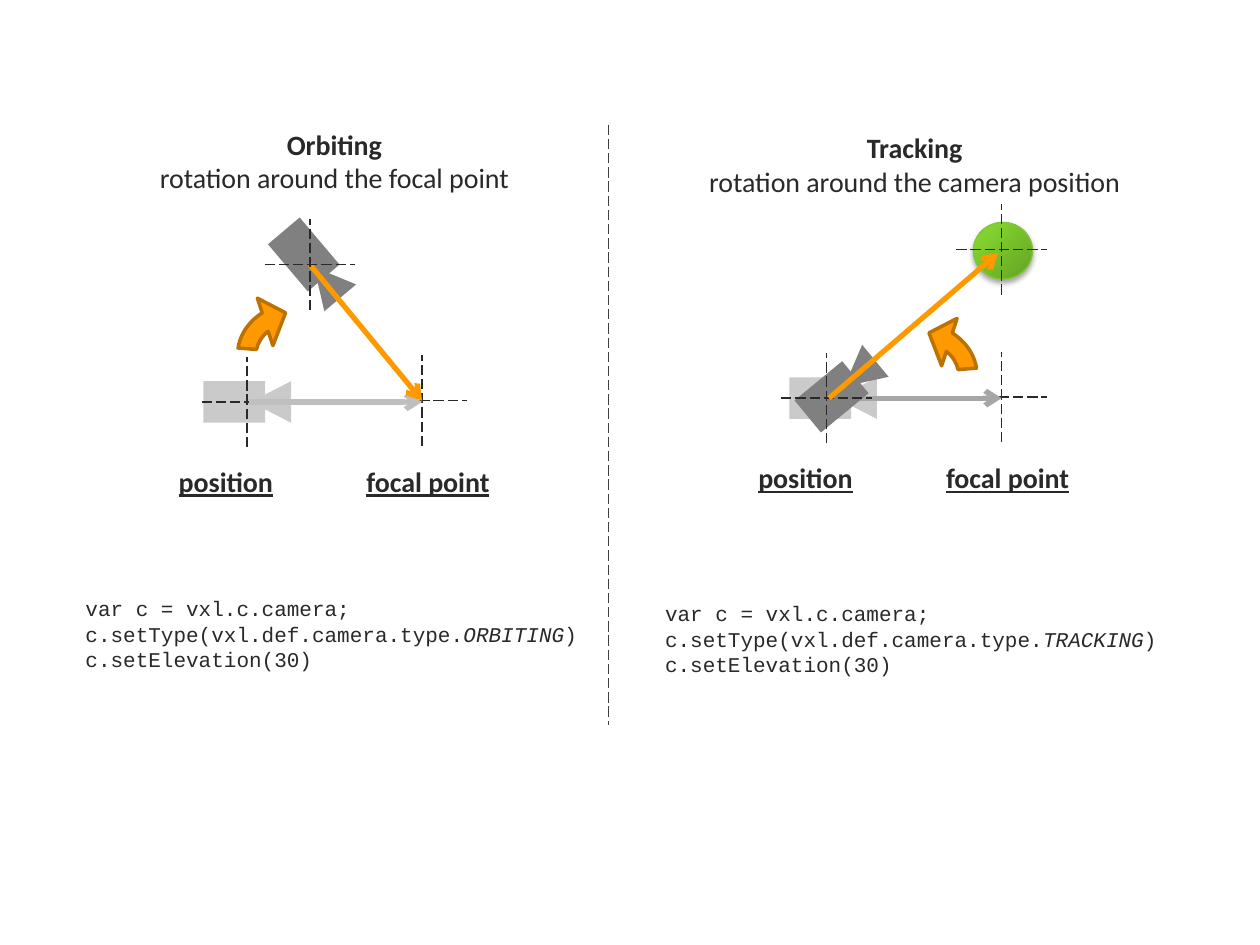
import copy
import math

from lxml import etree
from pptx import Presentation
from pptx import util as u
from pptx.dml.color import RGBColor
from pptx.enum import dml, shapes, text
from pptx.oxml.ns import qn

INK, PALE, DARK, ORANGE = "292929", "CACACA", "808080", "FF9900"
ARM = 0.36  # half the length of a crosshair line
PANEL_STEP = (4.6, -0.03)  # from the left diagram to the right one


def colour(value):
    return RGBColor.from_string(value)


def add_line(slide, start, end, line_colour=INK, width=0.75, arrow=False):
    """Dashed thin line, or solid line with an arrowhead."""
    points = [u.Inches(value) for value in (*start, *end)]
    connector = slide.shapes.add_connector(shapes.MSO_CONNECTOR.STRAIGHT, *points)
    connector.line.color.rgb = colour(line_colour)
    connector.line.width = u.Pt(width)
    if arrow:
        line = connector.line._get_or_add_ln()
        etree.SubElement(line, qn("a:tailEnd"), type="arrow")
    else:
        connector.line.dash_style = dml.MSO_LINE.LONG_DASH
    etree.SubElement(connector._element.spPr, qn("a:effectLst"))


def add_arrow(slide, start, end, line_colour):
    add_line(slide, start, end, line_colour, 3, arrow=True)


def add_crosshair(slide, x, y):
    add_line(slide, (x - ARM, y), (x + ARM, y))
    add_line(slide, (x, y + ARM), (x, y - ARM))


def add_centred_shape(slide, kind, centre, size, fill, rotation=0):
    (x, y), (width, height) = centre, size
    shape = slide.shapes.add_shape(
        kind, u.Inches(x - width / 2), u.Inches(y - height / 2),
        u.Inches(width), u.Inches(height))
    shape.rotation = rotation % 360
    shape.shadow.inherit = False
    shape.fill.solid()
    shape.fill.fore_color.rgb = colour(fill)
    shape.line.fill.background()
    return shape


def add_camera(slide, x, y, fill, angle=0):
    """Body centred on x, y with its lens pointing along the angle."""
    kinds = shapes.MSO_SHAPE
    turn = math.radians(angle)
    lens = (x + 0.29 * math.cos(turn), y + 0.29 * math.sin(turn))
    add_centred_shape(slide, kinds.RECTANGLE, (x, y), (0.49, 0.33), fill, angle)
    add_centred_shape(slide, kinds.ISOSCELES_TRIANGLE, lens, (0.33, 0.32),
                      fill, angle + 270)


def add_turn_arrow(slide, centre, rotation, mirrored=False):
    arrow = add_centred_shape(slide, shapes.MSO_SHAPE.CIRCULAR_ARROW, centre,
                              (1.06, 1.22), ORANGE, rotation)
    for index, value in enumerate((0.138, 17.52, 190.725, 167.835, 0.187)):
        arrow.adjustments[index] = value
    arrow.line.color.rgb = colour("BD7100")
    arrow.line.width = u.Pt(2)
    if mirrored:
        arrow._element.spPr.find(qn("a:xfrm")).set("flipH", "1")


def add_target(slide, centre):
    """Green ball with a three-stop gradient and a soft shadow."""
    ball = add_centred_shape(slide, shapes.MSO_SHAPE.OVAL, centre,
                             (0.47, 0.45), "82D22E")
    ball.fill.gradient()
    ball.fill.gradient_angle = 135
    stop_list = ball._element.spPr.find(".//" + qn("a:gsLst"))
    stop_list.append(copy.deepcopy(stop_list[-1]))
    stops = ((0, "64A223"), (0.8, "82D22E"), (1, "83D62B"))
    for stop, (position, value) in zip(ball.fill.gradient_stops, stops):
        stop.position = position
        stop.color.rgb = colour(value)
    ball.line.color.rgb = colour("83C43E")
    ball.line.width = u.Pt(0.75)
    effects = ball._element.spPr.find(qn("a:effectLst"))
    shadow = etree.SubElement(
        effects, qn("a:outerShdw"), blurRad=str(u.Pt(3.1)),
        dist=str(u.Pt(1.8)), dir="5400000", rotWithShape="0")
    black = etree.SubElement(shadow, qn("a:srgbClr"), val="000000")
    etree.SubElement(black, qn("a:alpha"), val="35000")


def add_text_frame(slide, left, top, width, height):
    box = slide.shapes.add_textbox(*map(u.Inches, (left, top, width, height)))
    box.text_frame.word_wrap = False
    box.text_frame.auto_size = text.MSO_AUTO_SIZE.SHAPE_TO_FIT_TEXT
    return box.text_frame


def set_font(paragraph, name, size):
    paragraph.font.name = name
    paragraph.font.size = u.Pt(size)
    paragraph.font.color.rgb = colour(INK)


def add_heading(slide, left, top, width, name, description):
    paragraph = add_text_frame(slide, left, top, width, 0.64).paragraphs[0]
    paragraph.alignment = text.PP_ALIGN.CENTER
    set_font(paragraph, "Calibri", 16)
    title = paragraph.add_run()
    title.text = name
    title.font.bold = True
    paragraph.add_line_break()
    paragraph.add_run().text = description


def add_label(slide, left, top, width, words):
    paragraph = add_text_frame(slide, left, top, width, 0.37).paragraphs[0]
    paragraph.text = words
    set_font(paragraph, "Calibri", 16)
    paragraph.font.bold = True
    paragraph.font.underline = True


def add_code(slide, left, top, camera_type):
    frame = add_text_frame(slide, left, top, 4.17, 0.71)
    lines = (
        ("var c = vxl.c.camera;",),
        ("c.setType(vxl.def.camera.type.", camera_type, ")"),
        ("c.setElevation(30)",),
    )
    for index, pieces in enumerate(lines):
        paragraph = frame.add_paragraph() if index else frame.paragraphs[0]
        set_font(paragraph, "Courier New", 12)
        for piece in pieces:
            run = paragraph.add_run()
            run.text = piece
            if piece == camera_type:
                run.font.italic = True


def add_view_line(slide, arrow_colour, dx=0, dy=0):
    """Focal point, initial line of sight and the two labels."""
    add_crosshair(slide, 3.35 + dx, 3.18 + dy)
    add_arrow(slide, (1.98 + dx, 3.19 + dy), (3.35 + dx, 3.19 + dy), arrow_colour)
    add_label(slide, 1.32 + dx, 3.64 + dy, 0.96, "position")
    add_label(slide, 2.81 + dx, 3.64 + dy, 1.19, "focal point")


def add_orbiting(slide):
    add_heading(slide, 0.59, 0.96, 4.13, "Orbiting",
                "rotation around the focal point")
    add_camera(slide, 1.86, 3.19, PALE)
    add_crosshair(slide, 1.96, 3.19)
    add_view_line(slide, "BFBFBF")
    add_camera(slide, 2.41, 2.02, DARK, 49.8)
    add_arrow(slide, (2.46, 2.1), (3.35, 3.18), ORANGE)
    add_crosshair(slide, 2.46, 2.1)
    add_turn_arrow(slide, (2.37, 2.8), 264.9)
    add_code(slide, 0.58, 4.68, "ORBITING")


def add_tracking(slide):
    add_heading(slide, 5.48, 0.99, 3.56, "Tracking",
                "rotation around the camera position")
    add_camera(slide, 6.51, 3.16, PALE)
    add_view_line(slide, "A6A6A6", *PANEL_STEP)
    add_camera(slide, 6.6, 3.15, DARK, -39.5)
    add_target(slide, (7.96, 1.99))
    add_crosshair(slide, 6.56, 3.16)
    add_turn_arrow(slide, (7.27, 2.96), 95.1, mirrored=True)
    add_crosshair(slide, 7.95, 1.98)
    add_arrow(slide, (6.58, 3.16), (7.92, 2.01), ORANGE)
    add_code(slide, 5.18, 4.72, "TRACKING")


def main():
    presentation = Presentation()
    presentation.slide_width = u.Inches(10)
    presentation.slide_height = u.Inches(7.5)
    slide = presentation.slides.add_slide(presentation.slide_layouts[6])
    add_orbiting(slide)
    add_tracking(slide)
    # Divider between the two camera modes
    add_line(slide, (4.83, 0.99), (4.83, 5.75), "3E3E3E")
    presentation.save("out.pptx")


if __name__ == "__main__":
    main()
